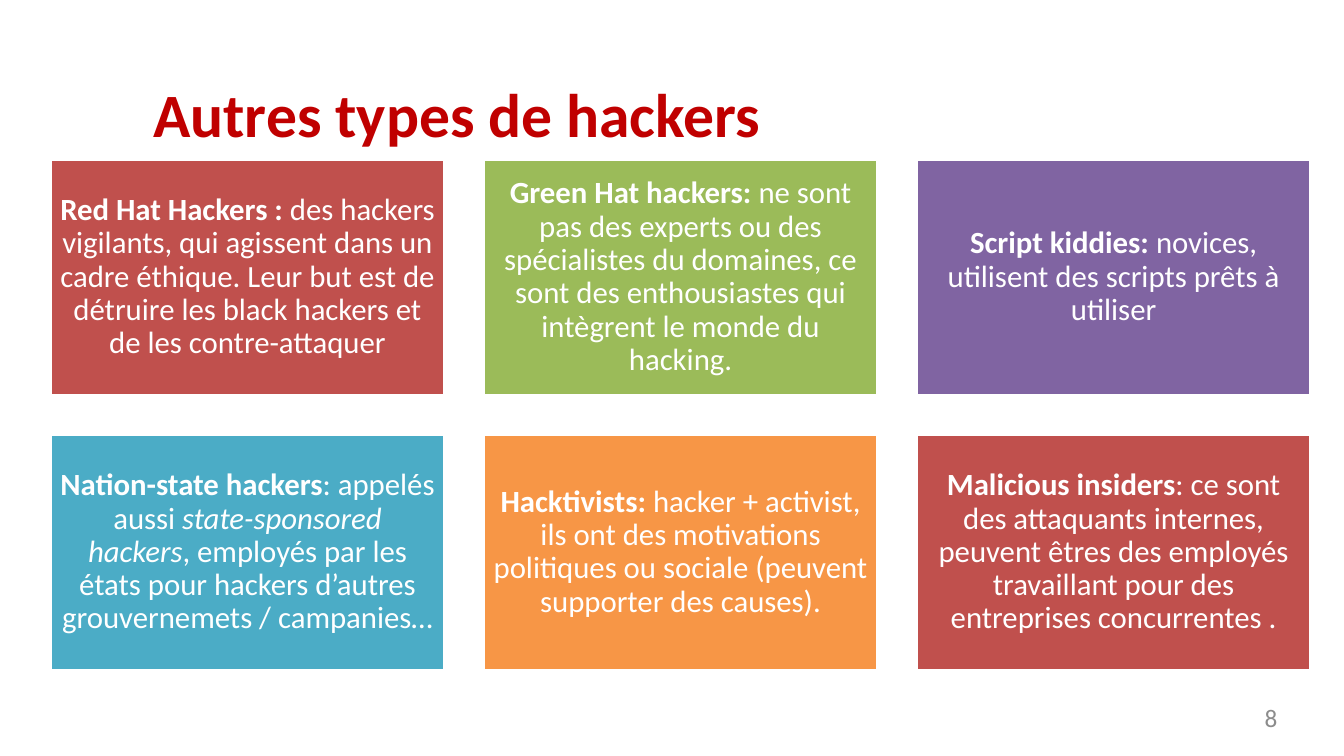
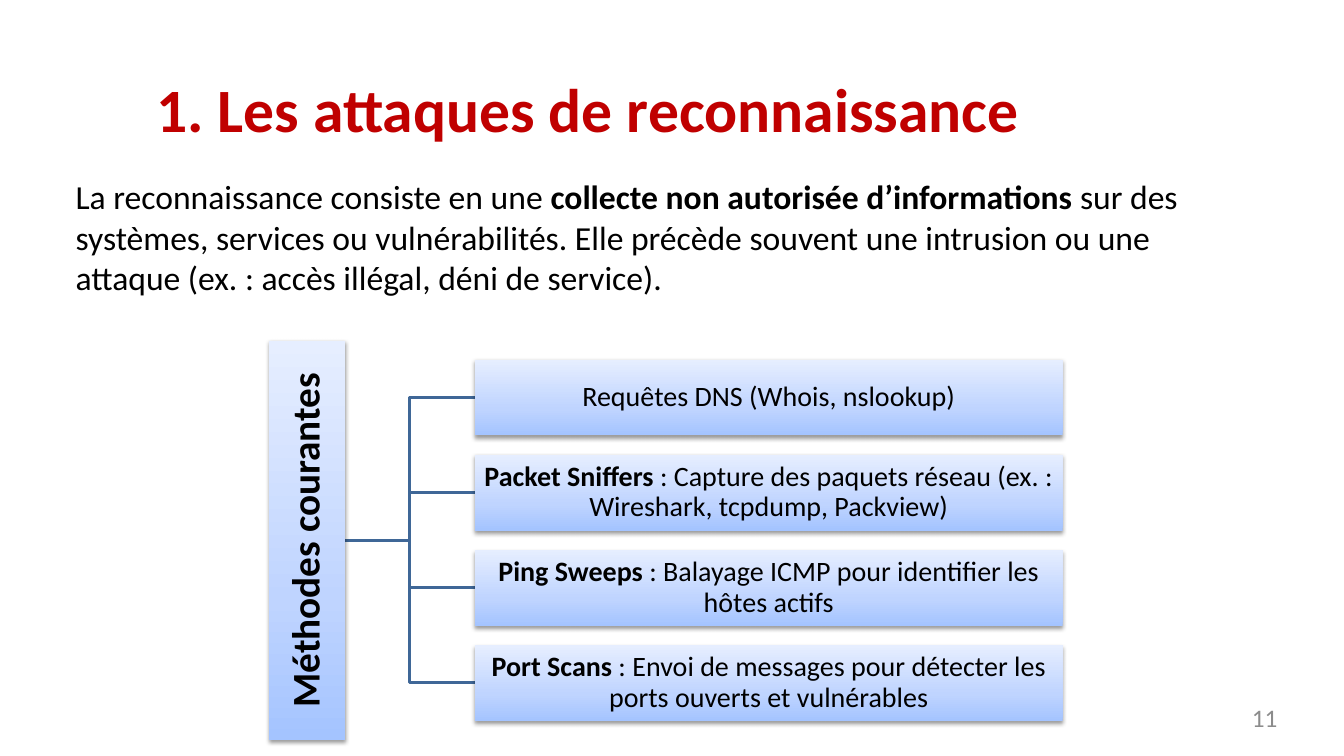
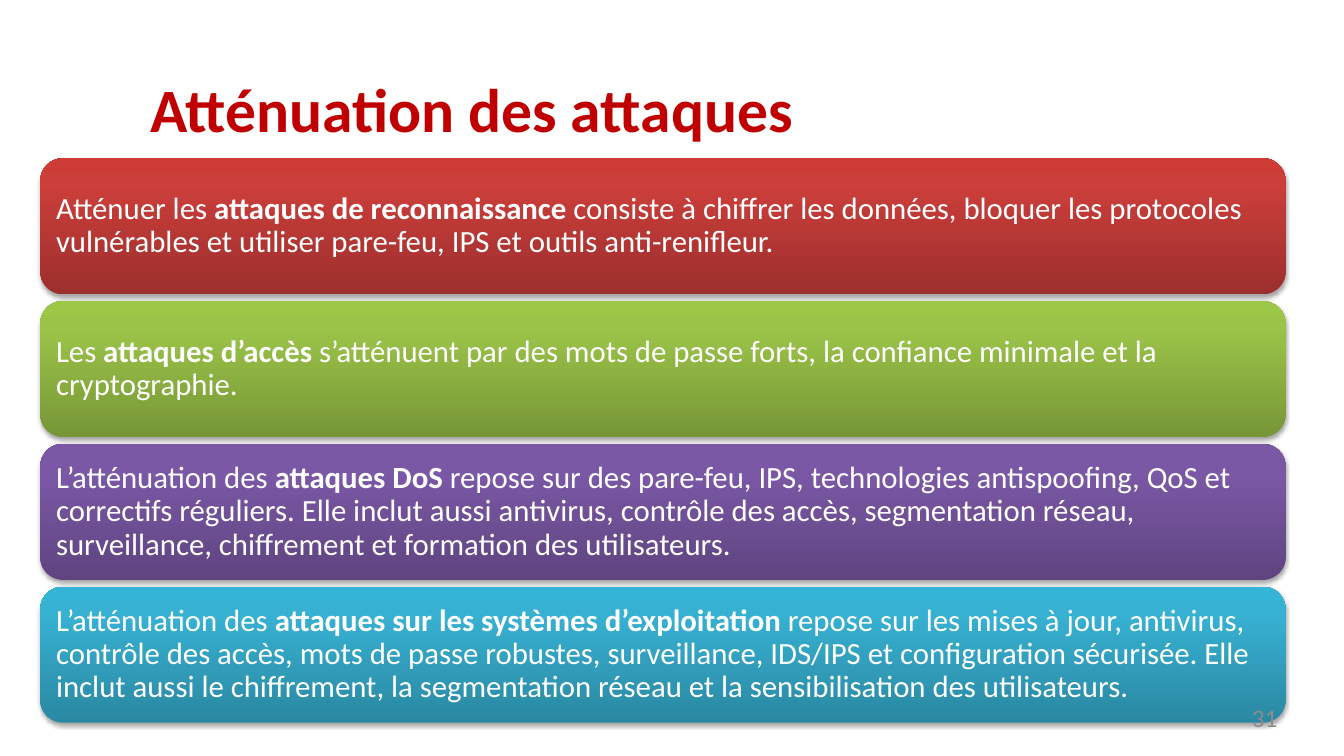
import pptx
import pptx.util
import pptx.dml.color
import pptx.enum.dml
import pptx.enum.shapes
import pptx.enum.text
import pptx.oxml
import pptx.oxml.ns

Inches = pptx.util.Inches
Pt = pptx.util.Pt
ALIGN = pptx.enum.text.PP_ALIGN
ANCHOR = pptx.enum.text.MSO_ANCHOR
SHAPE = pptx.enum.shapes.MSO_SHAPE

FONT = "Calibri"
TITLE_RED, NUMBER_GREY, WHITE, BLACK = "C00000", "8C8C8C", "FFFFFF", "000000"
BRANCH_BLUE = "3F6797"
PALE_BLUE = [(0, "A4C4FF"), (35, "BFD4FF"), (100, "E6EEFF")]

# Text is a list of (words, style) spans; style is "", "b" (bold) or "i" (italic).
HACKERS = {
    "title": "Autres types de hackers", "title_at": (1.52, 0.75, 9.26, 0.75), "number": "8",
    "cards": [
        ("C0504D", [("Red Hat Hackers :", "b"), (" des hackers vigilants, qui agissent dans un cadre éthique. Leur but est de détruire les black hackers et de les contre-attaquer", "")]),
        ("9BBB59", [("Green Hat hackers:", "b"), (" ne sont pas des experts ou des spécialistes du domaines, ce sont des enthousiastes qui intègrent le monde du hacking.", "")]),
        ("8064A2", [("Script kiddies: ", "b"), ("novices, utilisent des scripts prêts à utiliser", "")]),
        ("4BACC6", [("Nation-state hackers", "b"), (": appelés aussi ", ""), ("state-sponsored hackers", "i"), (", employés par les états pour hackers d’autres grouvernemets / campanies…", "")]),
        ("F79646", [("Hacktivists: ", "b"), ("hacker + activist, ils ont des motivations politiques ou sociale (peuvent supporter des causes).", "")]),
        ("C0504D", [("Malicious insiders", "b"), (": ce sont des attaquants internes, peuvent êtres des employés travaillant pour des entreprises concurrentes .", "")]),
    ],
}
RECONNAISSANCE = {
    "title": "1. Les attaques de reconnaissance", "title_at": (1.55, 0.7, 8.61, 0.76), "number": "11",
    "intro": [("La reconnaissance consiste en une ", ""), ("collecte non autorisée d’informations", "b"), (" sur des systèmes, services ou vulnérabilités. Elle précède souvent une intrusion ou une attaque (ex. : accès illégal, déni de service).", "")],
    "root": [("Méthodes courantes", "b")],
    "methods": [
        [("Requêtes DNS (Whois, nslookup)", "")],
        [("Packet Sniffers", "b"), (" : Capture des paquets réseau (ex. : Wireshark, tcpdump, Packview)", "")],
        [("Ping Sweeps", "b"), (" : Balayage ICMP pour identifier les hôtes actifs", "")],
        [("Port Scans", "b"), (" : Envoi de messages pour détecter les ports ouverts et vulnérables", "")],
    ],
}
MITIGATION = {
    "title": "Atténuation des attaques", "title_at": (1.49, 0.7, 8.46, 0.76), "number": "31",
    "bars": [
        (("9C2F2D", "CB3E3A", "CE3B37"), [("Atténuer les ", ""), ("attaques de reconnaissance ", "b"), ("consiste à chiffrer les données, bloquer les protocoles vulnérables et utiliser pare-feu, IPS et outils anti-renifleur.", "")]),
        (("779737", "9BC348", "9DC746"), [("Les ", ""), ("attaques d’accès ", "b"), ("s’atténuent par des mots de passe forts, la confiance minimale et la cryptographie.", "")]),
        (("5F4480", "7B58A6", "7C57A8"), [("L’atténuation des ", ""), ("attaques DoS ", "b"), ("repose sur des pare-feu, IPS, technologies antispoofing, QoS et correctifs réguliers. Elle inclut aussi antivirus, contrôle des accès, segmentation réseau, surveillance, chiffrement et formation des utilisateurs.", "")]),
        (("2A88A2", "37B1D2", "34B4D6"), [("L’atténuation des ", ""), ("attaques sur les systèmes d’exploitation ", "b"), ("repose sur les mises à jour, antivirus, contrôle des accès, mots de passe robustes, surveillance, IDS/IPS et configuration sécurisée. Elle inclut aussi le chiffrement, la segmentation réseau et la sensibilisation des utilisateurs.", "")]),
    ],
}


def rgb(value):
    return pptx.dml.color.RGBColor.from_string(value)


def inches(at):
    return [Inches(length) for length in at]


def spread(start, end, size, count):
    """Starts of equal parts laid from start to end with equal gaps."""
    return [start + (end - start - size) * index / (count - 1) for index in range(count)]


def set_format(target, values):
    for name, value in values.items():
        setattr(target, name, value)


def write(box, spans, size, color, inset=0, align=ALIGN.LEFT, anchor=ANCHOR.TOP, line_spacing=1.0):
    frame = box.text_frame
    margins = dict.fromkeys(("margin_left", "margin_top", "margin_right", "margin_bottom"), Inches(inset))
    set_format(frame, {**margins, "word_wrap": True, "vertical_anchor": anchor,
                       "auto_size": pptx.enum.text.MSO_AUTO_SIZE.NONE})
    para = frame.paragraphs[0]
    set_format(para, {"alignment": align, "line_spacing": line_spacing})
    for words, style in spans:
        span = para.add_run()
        span.text = words
        set_format(span.font, {"name": FONT, "size": Pt(size), "bold": style == "b", "italic": style == "i"})
        span.font.color.rgb = rgb(color)


def add_panel(page, kind, at, fill=None):
    panel = page.shapes.add_shape(kind, *inches(at))
    panel.shadow.inherit = False
    if fill:
        panel.fill.solid()
        panel.fill.fore_color.rgb = rgb(fill)
        panel.line.color.rgb = rgb(WHITE)
        panel.line.width = Pt(2)
    else:
        panel.line.fill.background()
    return panel


def add_glossy_panel(page, kind, at, stops, opacity):
    """Panel with a gradient that runs from bottom to top, and a soft shadow below."""
    panel = add_panel(page, kind, at)
    panel.fill.gradient()
    panel.fill.gradient_angle = 90
    namespace = pptx.oxml.ns.nsdecls("a")
    properties = panel._element.spPr
    gradient = properties.find(pptx.oxml.ns.qn("a:gradFill"))
    gradient.set("rotWithShape", "0")
    stop_list = gradient.find(pptx.oxml.ns.qn("a:gsLst"))
    for stop in list(stop_list):
        stop_list.remove(stop)
    for position, color in stops:
        stop_list.append(pptx.oxml.parse_xml(
            f'<a:gs {namespace} pos="{position * 1000}"><a:srgbClr val="{color}"/></a:gs>'))
    properties.find(pptx.oxml.ns.qn("a:effectLst")).append(pptx.oxml.parse_xml(
        f'<a:outerShdw {namespace} blurRad="{Pt(3.1)}" dist="{Pt(1.7)}" dir="5400000" rotWithShape="0">'
        f'<a:srgbClr val="{BLACK}"><a:alpha val="{opacity * 1000}"/></a:srgbClr></a:outerShdw>'))
    return panel


def add_branch(page, start, end):
    branch = page.shapes.add_connector(pptx.enum.shapes.MSO_CONNECTOR.ELBOW, *inches(start + end))
    branch.line.color.rgb = rgb(BRANCH_BLUE)
    branch.line.width = Pt(2)
    branch._element.spPr.append(pptx.oxml.parse_xml(f'<a:effectLst {pptx.oxml.ns.nsdecls("a")}/>'))


def add_page(deck, content):
    page = deck.slides.add_slide(deck.slide_layouts[5])
    title = page.shapes.title
    set_format(title, dict(zip(("left", "top", "width", "height"), inches(content["title_at"]))))
    write(title, [(content["title"], "b")], 44, TITLE_RED)
    return page


def add_number(page, content):
    box = page.shapes.add_textbox(*inches((9.6, 6.97, 3.07, 0.38)))
    write(box, [(content["number"], "")], 18, NUMBER_GREY, align=ALIGN.RIGHT)


def build_hackers(deck):
    page = add_page(deck, HACKERS)
    width, height = 3.91, 2.34
    places = [(left, top) for top in spread(1.58, 6.65, height, 2) for left in spread(0.5, 13, width, 3)]
    for (left, top), (fill, spans) in zip(places, HACKERS["cards"]):
        card = add_panel(page, SHAPE.RECTANGLE, (left, top, width, height), fill)
        write(card, spans, 22, WHITE, 0.09, ALIGN.CENTER, ANCHOR.MIDDLE, 0.9)
    add_number(page, HACKERS)


def build_reconnaissance(deck):
    page = add_page(deck, RECONNAISSANCE)
    intro = page.shapes.add_textbox(*inches((0.75, 1.75, 11.45, 1.63)))
    write(intro, RECONNAISSANCE["intro"], 24, BLACK)

    thickness, root_length, root_right, method_left = 0.75, 3.96, 3.42, 4.71
    middle = 5.36
    methods = RECONNAISSANCE["methods"]
    tops = spread(3.57, 7.15, thickness, len(methods))
    for top in tops:
        add_branch(page, (root_right, middle), (method_left, top + thickness / 2))

    root_left = root_right - thickness / 2 - root_length / 2
    root = add_glossy_panel(page, SHAPE.RECTANGLE,
                            (root_left, middle - thickness / 2, root_length, thickness), PALE_BLUE, 38)
    root.rotation = 270
    write(root, RECONNAISSANCE["root"], 28, BLACK, 0.02, ALIGN.CENTER, ANCHOR.MIDDLE, 0.9)
    for top, spans in zip(tops, methods):
        method = add_glossy_panel(page, SHAPE.RECTANGLE, (method_left, top, 5.83, thickness), PALE_BLUE, 38)
        write(method, spans, 20, BLACK, 0.01, ALIGN.CENTER, ANCHOR.MIDDLE, 0.9)
    add_number(page, RECONNAISSANCE)


def build_mitigation(deck):
    page = add_page(deck, MITIGATION)
    height = 1.35
    bars = MITIGATION["bars"]
    for top, (colors, spans) in zip(spread(1.57, 7.17, height, len(bars)), bars):
        bar = add_glossy_panel(page, SHAPE.ROUNDED_RECTANGLE, (0.4, top, 12.35, height),
                               list(zip((0, 80, 100), colors)), 35)
        write(bar, spans, 22, WHITE, 0.09, ALIGN.LEFT, ANCHOR.MIDDLE, 0.9)
    add_number(page, MITIGATION)


def main():
    deck = pptx.Presentation()
    deck.slide_width, deck.slide_height = inches((13.33, 7.5))
    build_hackers(deck)
    build_reconnaissance(deck)
    build_mitigation(deck)
    deck.save("out.pptx")


if __name__ == "__main__":
    main()
